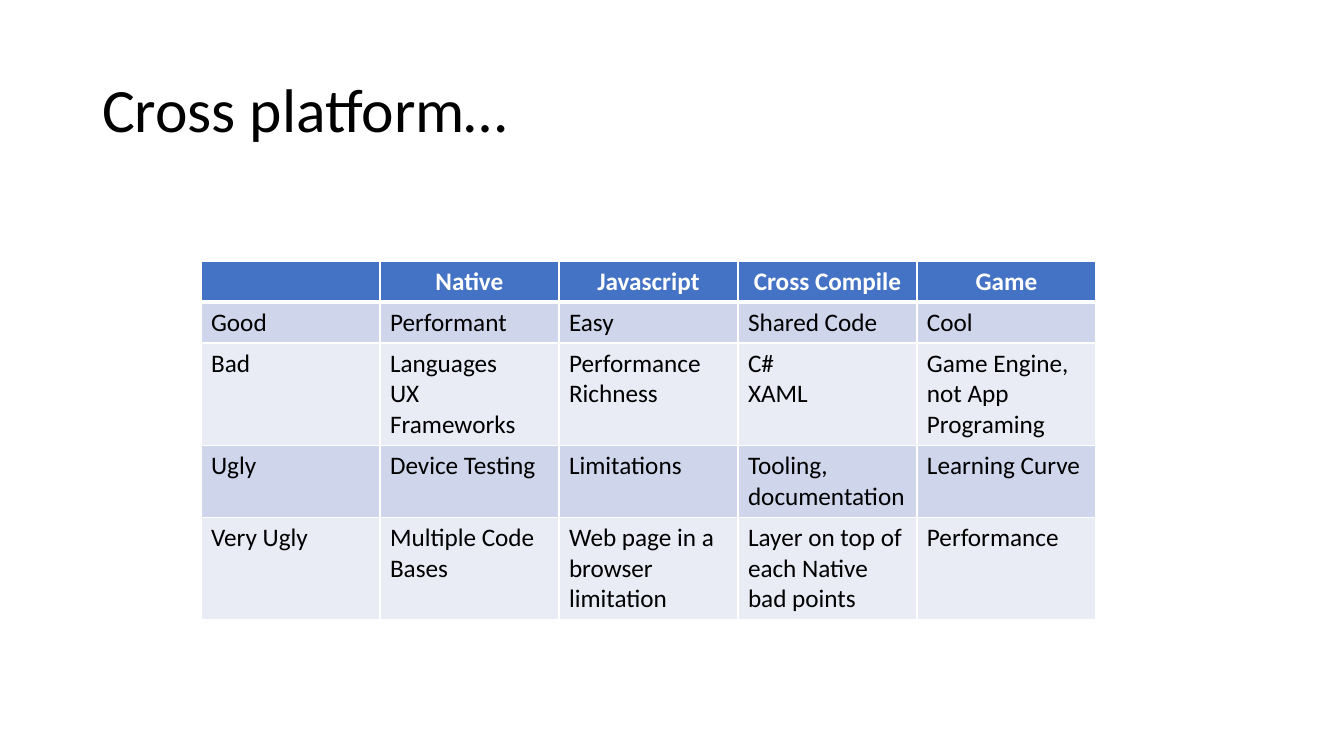
from lxml import etree
from pptx import Presentation, util as u
from pptx.dml.color import RGBColor
from pptx.enum import text
from pptx.oxml.ns import qn

TITLE = "Cross platform…"
ROWS = [
    ("", "Native", "Javascript", "Cross Compile", "Game"),
    ("Good", "Performant", "Easy", "Shared Code", "Cool"),
    ("Bad", "Languages\nUX Frameworks", "Performance\nRichness", "C#\nXAML",
     "Game Engine, not App Programing"),
    ("Ugly", "Device Testing", "Limitations", "Tooling, documentation",
     "Learning Curve"),
    ("Very Ugly", "Multiple Code Bases", "Web page in a browser limitation",
     "Layer on top of each Native bad points", "Performance"),
]
HEIGHTS = (41, 41, 102, 72, 102)
COL = 179
HEAD, BANDS = "4472C4", ("E9EBF5", "CFD5EA")
WHITE, BLACK = "FFFFFF", "000000"


def px(n):
    return u.Emu(round(n * 914400 / 100.8))


def rgb(code):
    return RGBColor.from_string(code)


def style(para, size, color, align, bold=False):
    para.alignment = align
    for run in para.runs:
        font = run.font
        font.name, font.size, font.bold = "Calibri", u.Pt(size), bold
        font.color.rgb = rgb(color)


def border(cell, side, width):
    line = etree.SubElement(cell._tc.get_or_add_tcPr(), qn("a:ln" + side),
                            w=str(u.Pt(width)))
    fill = etree.SubElement(line, qn("a:solidFill"))
    etree.SubElement(fill, qn("a:srgbClr"), val=WHITE)


deck = Presentation()
deck.slide_width, deck.slide_height = px(1344), px(756)
slide = deck.slides.add_slide(deck.slide_layouts[5])
left, center = text.PP_ALIGN.LEFT, text.PP_ALIGN.CENTER

# Title
title = slide.shapes.title
title.left, title.top, title.width, title.height = map(px, (92, 40, 1159, 146))
frame = title.text_frame
frame.text = TITLE
frame.vertical_anchor = text.MSO_ANCHOR.MIDDLE
frame.paragraphs[0].line_spacing = 0.9
style(frame.paragraphs[0], 44, BLACK, left)

# Comparison table
count = len(ROWS[0])
grid = slide.shapes.add_table(len(ROWS), count, px(201), px(261),
                              px(COL * count), px(sum(HEIGHTS))).table
for col in grid.columns:
    col.width = px(COL)
for r, (row, high) in enumerate(zip(ROWS, HEIGHTS)):
    grid.rows[r].height = px(high)
    top = r == 0
    for c, words in enumerate(row):
        cell = grid.cell(r, c)
        cell.text_frame.text = words
        for para in cell.text_frame.paragraphs:
            style(para, 18, WHITE if top else BLACK,
                  center if top else left, top)
        # A thick rule parts the header from the body
        for side, width in (("L", 1), ("R", 1), ("T", 3 if r == 1 else 1),
                            ("B", 3 if top else 1)):
            border(cell, side, width)
        cell.fill.solid()
        cell.fill.fore_color.rgb = rgb(HEAD if top else BANDS[r % 2])

deck.save("out.pptx")
